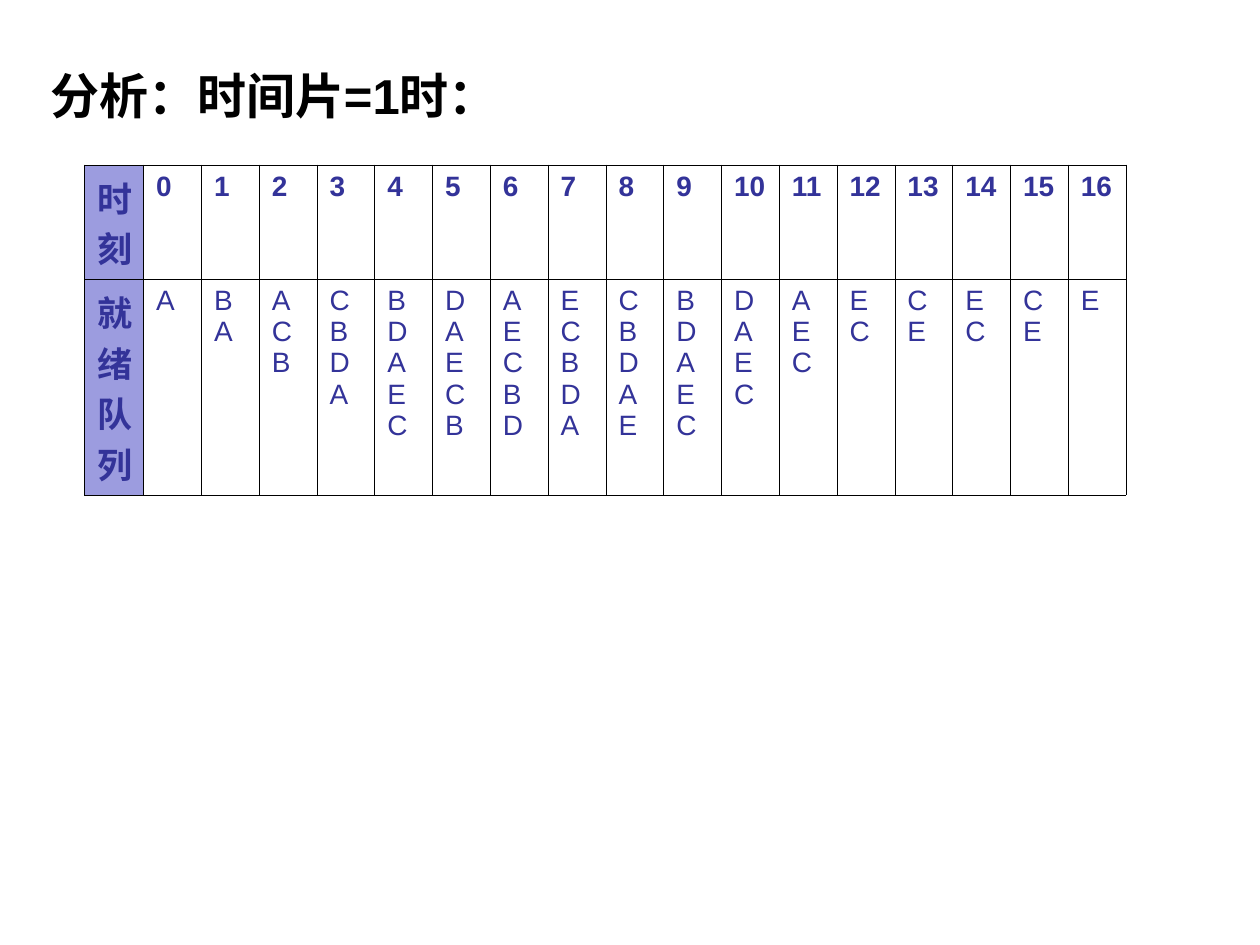
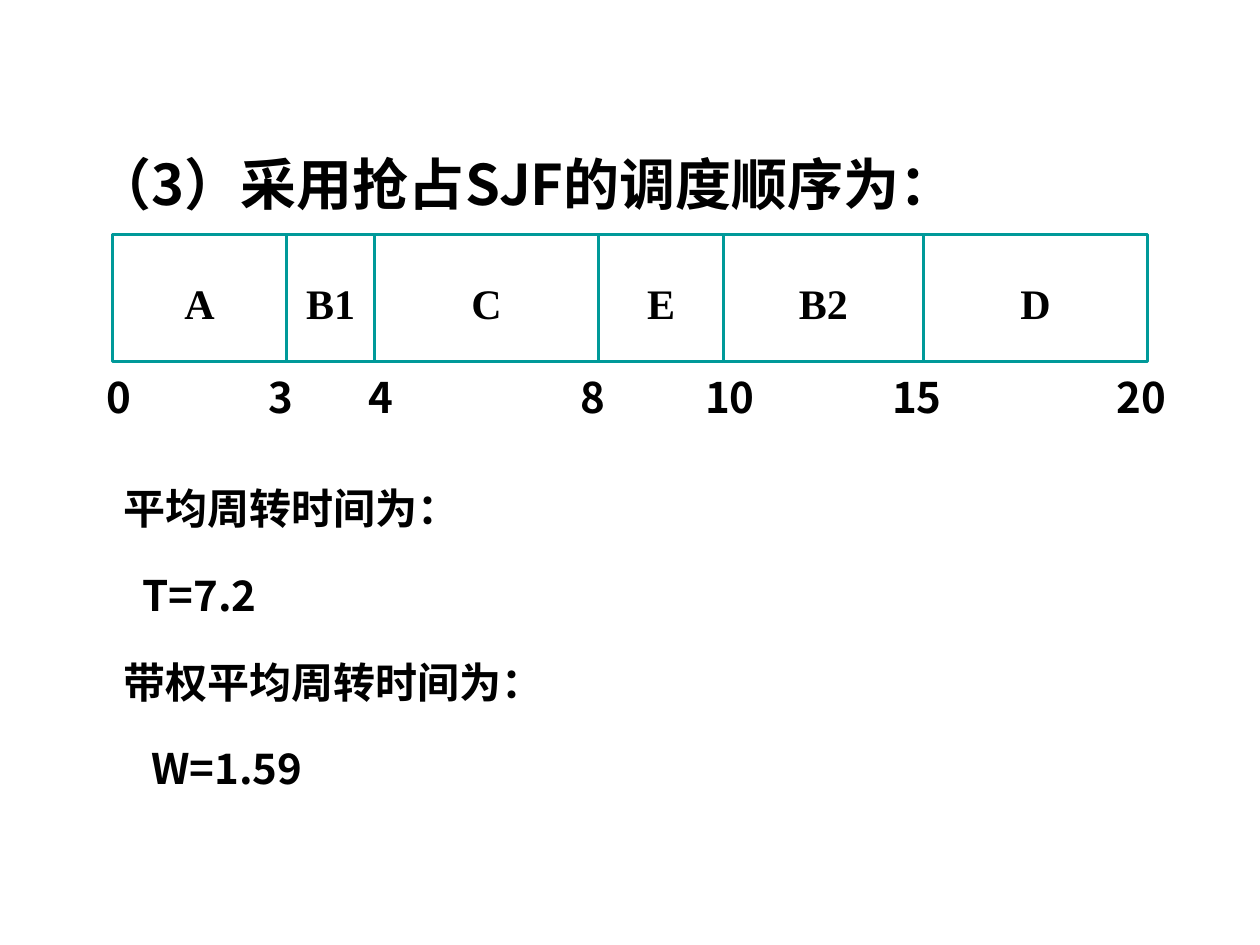
from pptx import Presentation
from pptx.dml.color import RGBColor
from pptx.enum.shapes import MSO_SHAPE
from pptx.enum.text import MSO_ANCHOR, MSO_AUTO_SIZE, PP_ALIGN
from pptx.oxml.ns import qn
from pptx.util import Inches, Pt
from lxml.etree import SubElement

COLORS = {"text": "000000", "table_text": "333399", "header": "9C9CDF",
          "cell": "FFFFFF", "border": "000000", "block": "009999"}
ARIAL, CJK, TIMES = "Arial", "Noto Sans CJK SC", "Times New Roman"

QUEUE_TITLE = "分析：时间片=1时："
QUEUE_HEADERS = ("时刻", "就绪队列")
READY_QUEUES = ["A", "BA", "ACB", "CBDA", "BDAEC", "DAECB", "AECBD", "ECBDA", "CBDAE",
                "BDAEC", "DAEC", "AEC", "EC", "CE", "EC", "CE", "E"]
QUEUE_AREA = (0.67, 1.31, 8.27, 2.2)
HEADER_WIDTH = 0.47
ROW_HEIGHTS = (0.77, 1.43)

SCHEDULE_TITLE = "（3）采用抢占SJF的调度顺序为："
# Name, width in units, time at the right edge, sideways shift of that time
BLOCKS = [("A", 14, "3", -0.05), ("B1", 7, "4", 0.05), ("C", 18, "8", -0.05),
          ("E", 10, "10", 0.05), ("B2", 16, "15", -0.05), ("D", 18, "20", -0.05)]
START_TIME, START_SHIFT = "0", 0.05
TIMELINE_AREA = (0.89, 1.86, 8.22, 1.01)
TIME_WIDTH, TIME_HEIGHT = 0.69, 0.48
# Text, left indent
RESULTS = [("平均周转时间为：", 0), ("T=7.2", 0.15),
           ("带权平均周转时间为：", 0), ("W=1.59", 0.22)]


def rgb(name):
    return RGBColor.from_string(COLORS[name])


def write(frame, lines, size=24, font=CJK, color="text", bold=True, align=PP_ALIGN.LEFT,
          spacing=1.0, before=0, indents=None):
    """Fill a text frame with one paragraph for each line."""
    for number, line in enumerate(lines):
        paragraph = frame.paragraphs[0] if number == 0 else frame.add_paragraph()
        if indents:
            properties = paragraph._p.get_or_add_pPr()
            properties.set("marL", str(Inches(indents[number])))
            properties.set("indent", "0")
            SubElement(properties, qn("a:buNone"))
        paragraph.alignment = align
        paragraph.line_spacing = spacing
        paragraph.space_before = Pt(before if number else 0)
        run = paragraph.add_run()
        run.text = line
        run.font.size, run.font.bold, run.font.name = Pt(size), bold, font
        run.font.color.rgb = rgb(color)
        SubElement(run._r.get_or_add_rPr(), qn("a:ea")).set("typeface", CJK)


def place(shape, area, anchor=MSO_ANCHOR.TOP, margins=(0.1, 0.05), wrap=True):
    """Position a shape and set up its text frame, which is returned."""
    shape.left, shape.top, shape.width, shape.height = map(Inches, area)
    frame = shape.text_frame
    frame.auto_size = MSO_AUTO_SIZE.NONE
    frame.word_wrap = wrap
    frame.vertical_anchor = anchor
    frame.margin_left = frame.margin_right = Inches(margins[0])
    frame.margin_top = frame.margin_bottom = Inches(margins[1])
    return frame


def style_cell(cell, fill):
    properties = cell._tc.get_or_add_tcPr()
    for side in ("a:lnL", "a:lnR", "a:lnT", "a:lnB"):
        line = SubElement(properties, qn(side), w=str(Pt(0.45)))
        solid = SubElement(line, qn("a:solidFill"))
        SubElement(solid, qn("a:srgbClr"), val=COLORS["border"])
    cell.fill.solid()
    cell.fill.fore_color.rgb = rgb(fill)


def build_queue_slide(presentation):
    slide = presentation.slides.add_slide(presentation.slide_layouts[5])
    frame = place(slide.shapes.title, (0.3, 0.13, 9, 1.25), MSO_ANCHOR.MIDDLE)
    write(frame, [QUEUE_TITLE], size=28, font=ARIAL)

    columns = len(READY_QUEUES) + 1
    table = slide.shapes.add_table(2, columns, *map(Inches, QUEUE_AREA)).table
    table.first_row = table.horz_banding = False
    for row, height in zip(table.rows, ROW_HEIGHTS):
        row.height = Inches(height)
    for number, column in enumerate(table.columns):
        shared = (QUEUE_AREA[2] - HEADER_WIDTH) / len(READY_QUEUES)
        column.width = Inches(shared if number else HEADER_WIDTH)

    for row, header in enumerate(QUEUE_HEADERS):
        cell = table.cell(row, 0)
        style_cell(cell, "header")
        write(cell.text_frame, [header], size=20, font=ARIAL, color="table_text")
    for time, queue in enumerate(READY_QUEUES):
        for row, lines in enumerate(([str(time)], queue)):
            cell = table.cell(row, time + 1)
            style_cell(cell, "cell")
            write(cell.text_frame, lines, size=16, font=ARIAL, color="table_text",
                  bold=row == 0)


def add_time(shapes, text, center):
    left, top, width, height = TIMELINE_AREA
    area = (center - TIME_WIDTH / 2, top + height, TIME_WIDTH, TIME_HEIGHT)
    box = shapes.add_textbox(*map(Inches, area))
    write(place(box, area, margins=(0, 0)), [text], align=PP_ALIGN.CENTER, spacing=1.2)


def add_block(shapes, name, area):
    block = shapes.add_shape(MSO_SHAPE.RECTANGLE, *map(Inches, area))
    block.shadow.inherit = False
    block.fill.background()
    block.line.color.rgb = rgb("block")
    block.line.width = Pt(1.75)
    write(place(block, area, MSO_ANCHOR.MIDDLE, wrap=False), [name], font=TIMES,
          align=PP_ALIGN.CENTER, spacing=1.2)


def build_schedule_slide(presentation):
    slide = presentation.slides.add_slide(presentation.slide_layouts[1])
    write(place(slide.shapes.title, (0.66, 0.87, 7.91, 0.9)), [SCHEDULE_TITLE],
          size=32, spacing=1.5)
    frame = place(slide.placeholders[1], (0.98, 3.75, 7.64, 2.54), margins=(0, 0))
    lines, indents = zip(*RESULTS)
    write(frame, lines, spacing=1.2, before=15, indents=indents)

    timeline = slide.shapes.add_group_shape().shapes
    edge, top, total_width, height = TIMELINE_AREA
    unit = total_width / sum(units for _, units, _, _ in BLOCKS)
    add_time(timeline, START_TIME, edge + START_SHIFT)
    for name, units, end_time, shift in BLOCKS:
        add_block(timeline, name, (edge, top, units * unit, height))
        edge += units * unit
        add_time(timeline, end_time, edge + shift)


def main():
    presentation = Presentation()
    presentation.slide_width, presentation.slide_height = Inches(10), Inches(7.5)
    build_queue_slide(presentation)
    build_schedule_slide(presentation)
    presentation.save("out.pptx")


if __name__ == "__main__":
    main()
